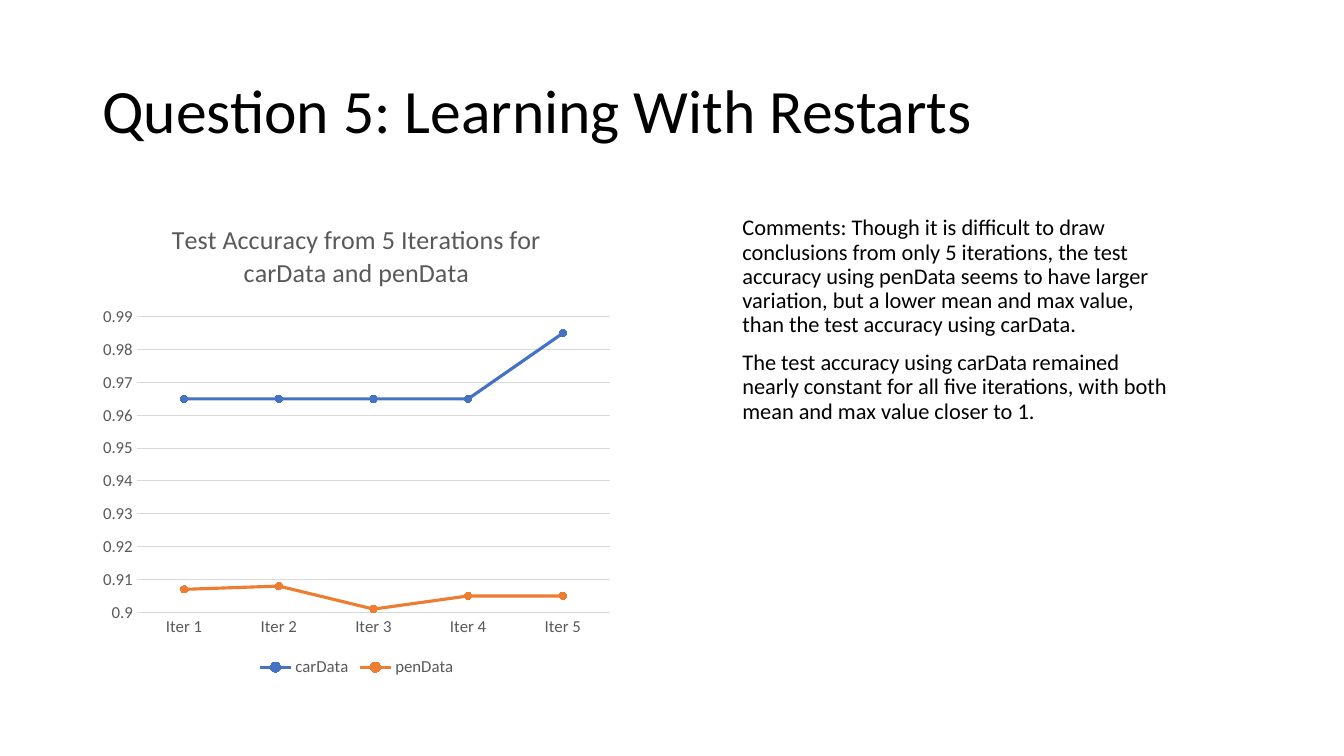
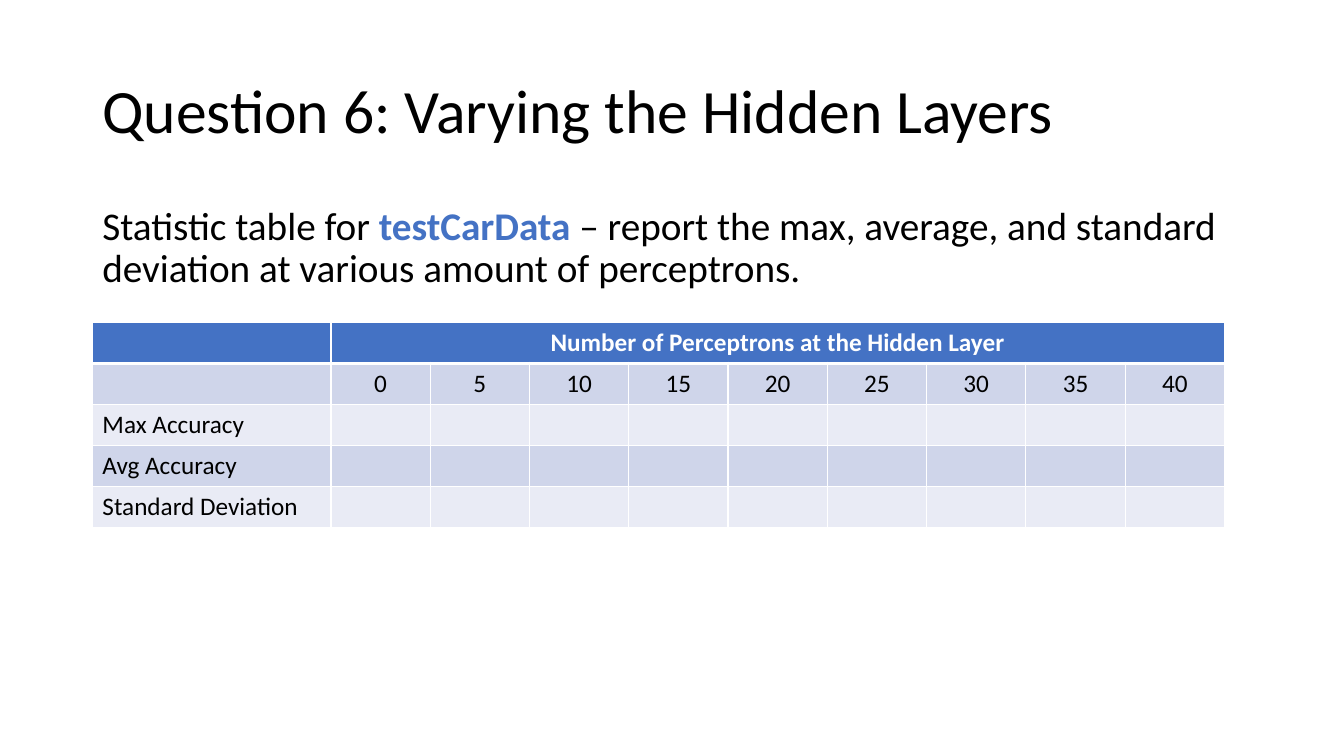
from pptx import Presentation
from pptx.chart.data import CategoryChartData
from pptx.dml.color import RGBColor
from pptx.enum.chart import XL_CHART_TYPE, XL_LEGEND_POSITION, XL_MARKER_STYLE, XL_TICK_MARK
from pptx.enum.text import MSO_ANCHOR, PP_ALIGN
from pptx.oxml.ns import qn
from pptx.util import Inches, Pt
from lxml.etree import Element, SubElement

BLACK = RGBColor(0x00, 0x00, 0x00)
WHITE = RGBColor(0xFF, 0xFF, 0xFF)
GREY = RGBColor(0x59, 0x59, 0x59)
RULE = RGBColor(0xD9, 0xD9, 0xD9)
BLUE = RGBColor(0x44, 0x72, 0xC4)
ORANGE = RGBColor(0xED, 0x7D, 0x31)
BAND_DARK = RGBColor(0xCF, 0xD5, 0xEA)
BAND_LIGHT = RGBColor(0xE9, 0xEB, 0xF5)

FONT = "Calibri"
COLS, ROWS = 160, 90  # grid laid over the slide
LEFT, WIDTH = 11, 138  # content area in grid columns
BODY_TOP, BODY_HEIGHT = 24, 57.1


class Deck:
    def __init__(self):
        self.prs = Presentation()
        self.prs.slide_width, self.prs.slide_height = Inches(13.33), Inches(7.5)
        self.s = None

    def x(self, cols):
        return round(self.prs.slide_width * cols / COLS)

    def y(self, rows):
        return round(self.prs.slide_height * rows / ROWS)

    def box(self, left, top, width, height):
        return self.x(left), self.y(top), self.x(width), self.y(height)

    def style(self, font, size, color=BLACK, bold=False):
        values = {"name": FONT, "size": Pt(size), "bold": bold}
        for name, value in values.items():
            setattr(font, name, value)
        font.color.rgb = color

    def slide(self, title):
        self.s = self.prs.slides.add_slide(self.prs.slide_layouts[6])
        self.text((LEFT, 4.8, WIDTH, 17.4), [[(title,)]], 44, 0, MSO_ANCHOR.MIDDLE)

    def text(self, area, paragraphs, size, before=10, anchor=MSO_ANCHOR.TOP):
        """Each paragraph is a list of runs: (text, color, bold)."""
        tf = self.s.shapes.add_textbox(*self.box(*area)).text_frame
        tf.word_wrap, tf.vertical_anchor = True, anchor
        for i, runs in enumerate(paragraphs):
            p = tf.add_paragraph() if i else tf.paragraphs[0]
            p.line_spacing, p.space_before = 0.9, Pt(before)
            for words, *look in runs:
                r = p.add_run()
                r.text = words
                self.style(r.font, size, *look)

    def line_chart(self, area, title, categories, series, low, high, step):
        """Series maps a name to (color, values)."""
        data = CategoryChartData()
        data.categories = categories
        for name, (_, values) in series.items():
            data.add_series(name, values)
        chart = self.s.shapes.add_chart(
            XL_CHART_TYPE.LINE_MARKERS, *self.box(*area), data).chart
        self.style(chart.font, 12, GREY)

        # Title and legend
        chart.has_title = chart.has_legend = True
        chart.chart_title.include_in_layout = False
        tf = chart.chart_title.text_frame
        tf.text = title
        self.style(tf.paragraphs[0].runs[0].font, 18.6, GREY)
        chart.legend.position = XL_LEGEND_POSITION.BOTTOM
        chart.legend.include_in_layout = False
        self.style(chart.legend.font, 12, GREY)

        # Axes
        category, value = chart.category_axis, chart.value_axis
        for axis in (category, value):
            axis.major_tick_mark = axis.minor_tick_mark = XL_TICK_MARK.NONE
            self.style(axis.tick_labels.font, 12, GREY)
        scale = {"minimum_scale": low, "maximum_scale": high, "major_unit": step}
        for name, limit in scale.items():
            setattr(value, name, limit)
        value.format.line.fill.background()
        for line in (category.format.line, value.major_gridlines.format.line):
            line.color.rgb, line.width = RULE, Pt(0.75)

        # Lines and markers
        plot = chart.plots[0]
        plot.vary_by_categories = False
        for ser, (color, _) in zip(plot.series, series.values()):
            ser.smooth = False
            ser.format.line.color.rgb, ser.format.line.width = color, Pt(2.25)
            ser.marker.style, ser.marker.size = XL_MARKER_STYLE.CIRCLE, 5
            ser.marker.format.fill.solid()
            ser.marker.format.fill.fore_color.rgb = color
            ser.marker.format.line.color.rgb = color

    def borders(self, cell, **widths):
        tc_pr = cell._tc.get_or_add_tcPr()
        for i, side in enumerate("LRTB"):
            line = Element(qn(f"a:ln{side}"), w=str(Pt(widths.get(side, 1))))
            fill = SubElement(line, qn("a:solidFill"))
            SubElement(fill, qn("a:srgbClr"), val=str(WHITE))
            tc_pr.insert(i, line)

    def table(self, left, top, first_width, width, height, heading, rows):
        n_rows, n_cols = len(rows) + 1, len(rows[0])
        area = self.box(left, top, first_width + width * (n_cols - 1), height * n_rows)
        table = self.s.shapes.add_table(n_rows, n_cols, *area).table
        for j, column in enumerate(table.columns):
            column.width = self.x(width if j else first_width)
        for row in table.rows:
            row.height = self.y(height)
        header = ["", heading] + [""] * (n_cols - 2)
        for i, words in enumerate([header] + rows):
            for j, word in enumerate(words):
                cell = table.cell(i, j)
                cell.fill.solid()
                cell.fill.fore_color.rgb = (
                    BLUE if i == 0 else BAND_DARK if i % 2 else BAND_LIGHT)
                self.borders(cell, T=3 if i == 1 else 1, B=1 if i else 3)
                p = cell.text_frame.paragraphs[0]
                p.alignment = PP_ALIGN.CENTER if j else PP_ALIGN.LEFT
                if word:
                    r = p.add_run()
                    r.text = word
                    self.style(r.font, 18, BLACK if i else WHITE, i == 0)
        table.cell(0, 1).merge(table.cell(0, n_cols - 1))


deck = Deck()

# Learning with restarts: chart and comments
deck.slide("Question 5: Learning With Restarts")
deck.line_chart(
    (LEFT, BODY_TOP, 62.9, BODY_HEIGHT),
    "Test Accuracy from 5 Iterations for carData and penData",
    [f"Iter {i}" for i in range(1, 6)],
    {"carData": (BLUE, [0.965, 0.965, 0.965, 0.965, 0.985]),
     "penData": (ORANGE, [0.907, 0.908, 0.901, 0.905, 0.905])},
    0.9, 0.99, 0.01)
deck.text((87.2, 25.2, 54.5, 25.6), [
    [("Comments: Though it is difficult to draw conclusions from only 5 iterations, "
      "the test accuracy using penData seems to have larger variation, but a lower "
      "mean and max value, than the test accuracy using carData.",)],
    [("The test accuracy using carData remained nearly constant for all five "
      "iterations, with both mean and max value closer to 1.",)],
], 16)

# Varying the hidden layers: statistics table
deck.slide("Question 6: Varying the Hidden Layers")
deck.text((LEFT, BODY_TOP, WIDTH, BODY_HEIGHT), [[
    ("Statistic table for ",),
    ("testCarData", BLUE, True),
    (" – report the max, average, and standard deviation at various amount "
     "of perceptrons.",),
]], 28)
perceptrons = [str(n) for n in range(0, 41, 5)]
measures = ["Max Accuracy", "Avg Accuracy", "Standard Deviation"]
deck.table(LEFT, 38.4, 28.4, 11.82, 4.88, "Number of Perceptrons at the Hidden Layer",
           [[""] + perceptrons] + [[m] + [""] * len(perceptrons) for m in measures])

deck.prs.save("out.pptx")
